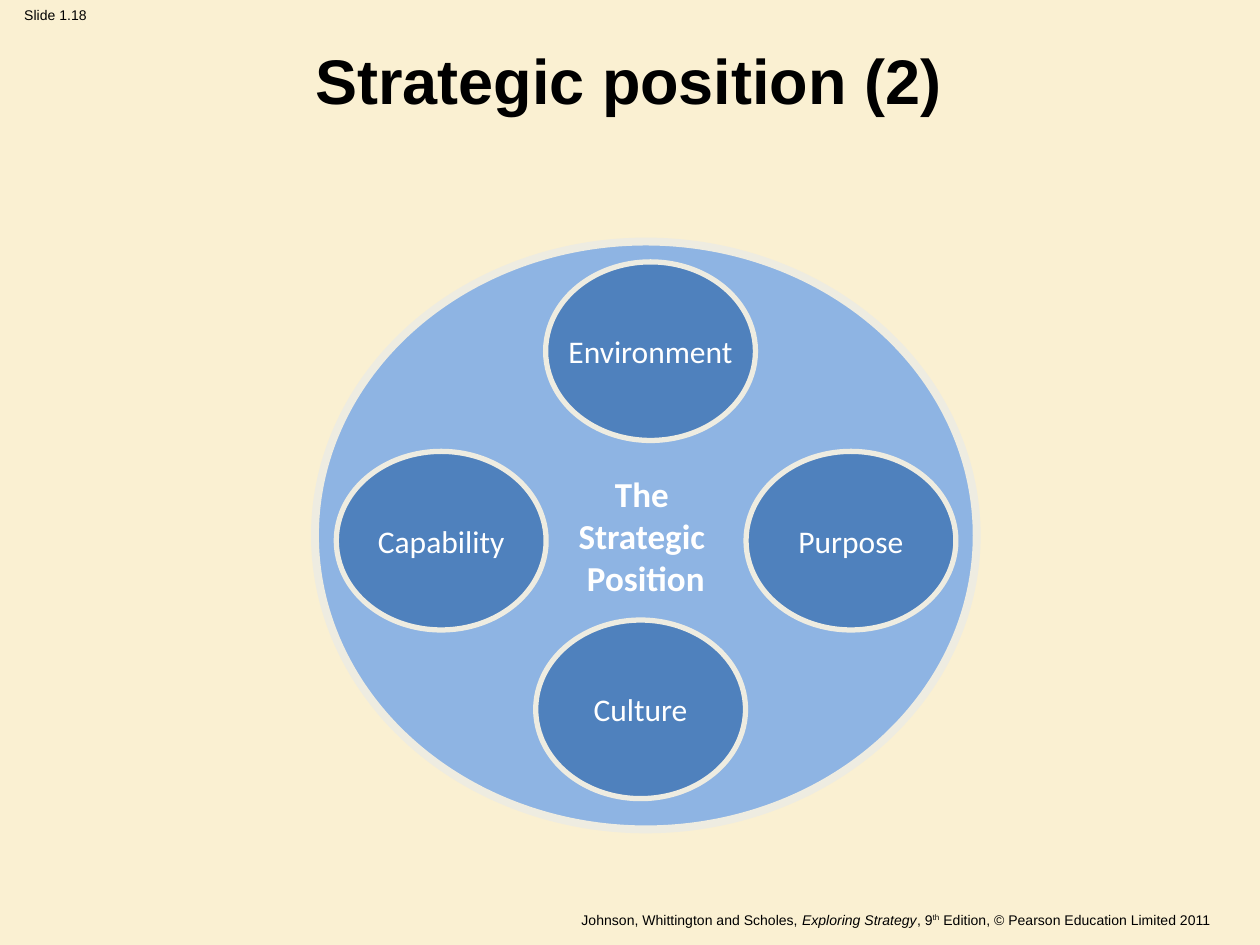
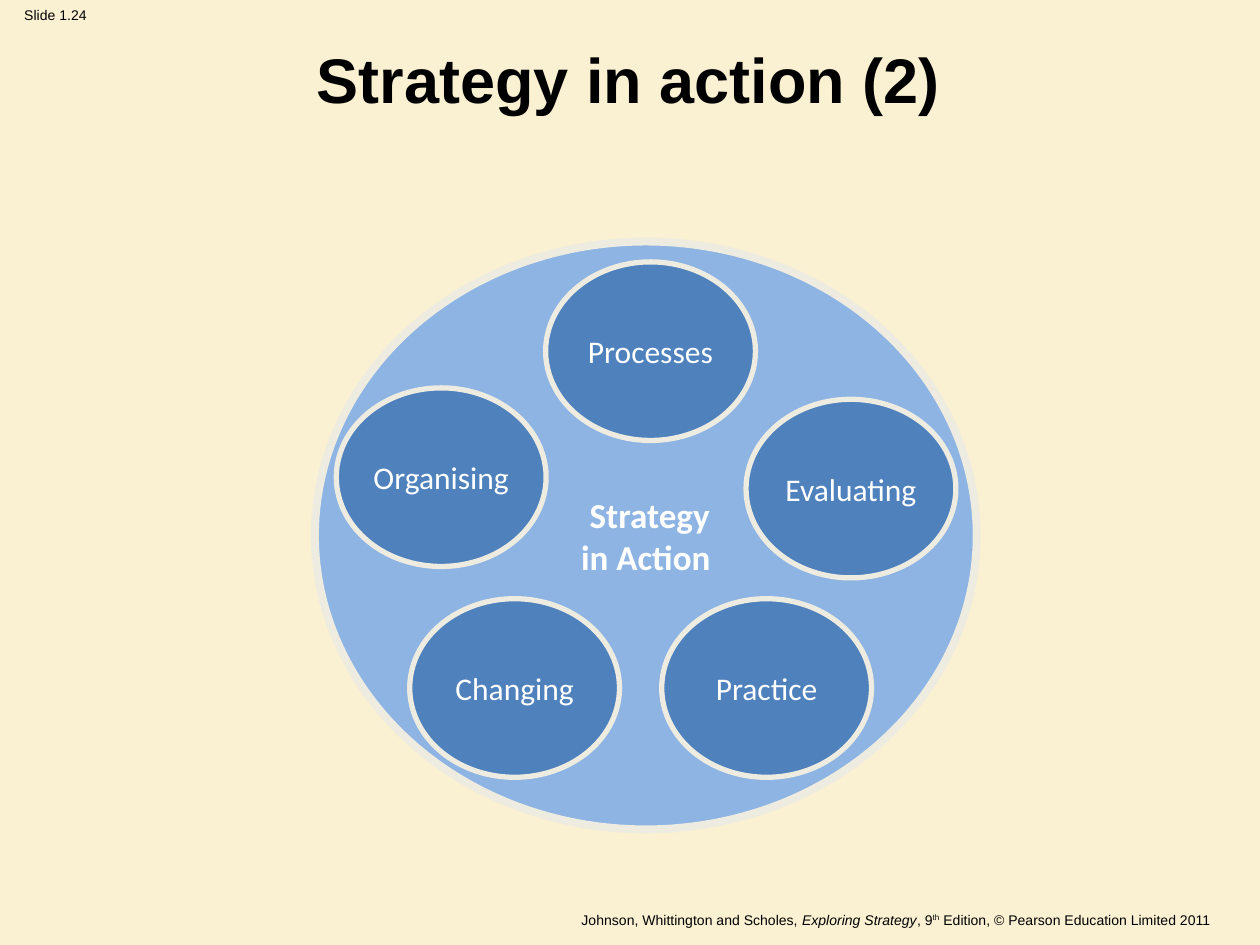
from pptx import Presentation
from pptx.dml.color import RGBColor
from pptx.enum.shapes import MSO_SHAPE
from pptx.enum.text import MSO_ANCHOR, MSO_AUTO_SIZE, PP_ALIGN
from pptx.util import Cm, Pt

OVAL = MSO_SHAPE.OVAL
TOP, MIDDLE = MSO_ANCHOR.TOP, MSO_ANCHOR.MIDDLE
CENTER, RIGHT = PP_ALIGN.CENTER, PP_ALIGN.RIGHT
FIXED = MSO_AUTO_SIZE.NONE

CREAM = RGBColor(0xFA, 0xF0, 0xD2)
SKY = RGBColor(0x8E, 0xB4, 0xE3)
BLUE = RGBColor(0x4F, 0x81, 0xBD)
PALE = RGBColor(0xEE, 0xEC, 0xE1)
WHITE = RGBColor(0xFF, 0xFF, 0xFF)
BLACK = RGBColor(0, 0, 0)

# Each footer run: text, italic, raised
FOOTER = [
    ("Johnson, Whittington and Scholes, ", False, False),
    ("Exploring Strategy", True, False),
    (", 9", False, False),
    ("th", False, True),
    (" Edition, © Pearson Education Limited 2011", False, False),
]

# Small ovals: name, left and top in cm
SLIDES = [
    ("Slide 1.18", "Strategic position (2)", 0.71,
     ["The ", "Strategic ", "Position"],
     [("Environment", 11, 5.28), ("Culture", 10.8, 12.5),
      ("Purpose", 15.04, 9.1), ("Capability", 6.78, 9.1)]),
    ("Slide 1.24", "Strategy in action (2)", 0.69,
     [" Strategy", " in Action "],
     [("Processes", 11, 5.28), ("Changing", 8.26, 12.07),
      ("Evaluating", 15.04, 8.05), ("Organising", 6.78, 7.82),
      ("Practice", 13.34, 12.07)]),
]


def write(shape, lines, size=8, font="Arial", color=BLACK, bold=False,
          align=CENTER, anchor=TOP, wrap=False, inset=(0.25, 0.13)):
    """Fill a shape with lines, each a string or a list of runs."""
    frame = shape.text_frame
    frame.auto_size = FIXED
    frame.word_wrap = wrap
    frame.vertical_anchor = anchor
    frame.margin_left = frame.margin_right = Cm(inset[0])
    frame.margin_top = frame.margin_bottom = Cm(inset[1])
    for i, line in enumerate(lines):
        para = frame.add_paragraph() if i else frame.paragraphs[0]
        para.alignment = align
        runs = [(line, False, False)] if isinstance(line, str) else line
        for text, italic, raised in runs:
            run = para.add_run()
            run.text = text
            run.font.size = Pt(size)
            run.font.name = font
            run.font.bold = bold
            run.font.italic = italic
            run.font.color.rgb = color
            if raised:
                run.font._element.set("baseline", "30000")


def oval(slide, lines, box, fill, edge, **style):
    """Draw a pale-edged oval with white centred text."""
    shape = slide.shapes.add_shape(OVAL, *[Cm(n) for n in box])
    shape.shadow.inherit = False
    shape.fill.solid()
    shape.fill.fore_color.rgb = fill
    shape.line.color.rgb = PALE
    shape.line.width = Pt(edge)
    write(shape, lines, font="Calibri", color=WHITE, anchor=MIDDLE, **style)


deck = Presentation()
deck.slide_width, deck.slide_height = Cm(25.4), Cm(19.05)

# Shared background
ground = deck.slide_master.background.fill
ground.solid()
ground.fore_color.rgb = CREAM

for label, head, top, hub, parts in SLIDES:
    slide = deck.slides.add_slide(deck.slide_layouts[5])

    # Footer and slide label
    foot = slide.shapes.add_textbox(Cm(0.66), Cm(18.24), Cm(24), Cm(0.53))
    write(foot, [FOOTER], align=RIGHT, wrap=True)
    tag = slide.shapes.add_textbox(0, 0, Cm(2.24), Cm(0.61))
    write(tag, [label])

    # Title
    title = slide.shapes.title
    title.left, title.top = Cm(1.24), Cm(top)
    title.width, title.height = Cm(22.86), Cm(1.78)
    write(title, [head], size=36, bold=True, anchor=MIDDLE, wrap=True,
          inset=(0, 0))

    # Large oval with the theme, small ovals with its parts
    oval(slide, hub, (6.35, 4.87, 13.34, 11.85), SKY, 4.5, size=20, bold=True)
    for name, x, y in parts:
        oval(slide, [name], (x, y, 4.23, 3.6), BLUE, 3, size=18)

deck.save("out.pptx")
